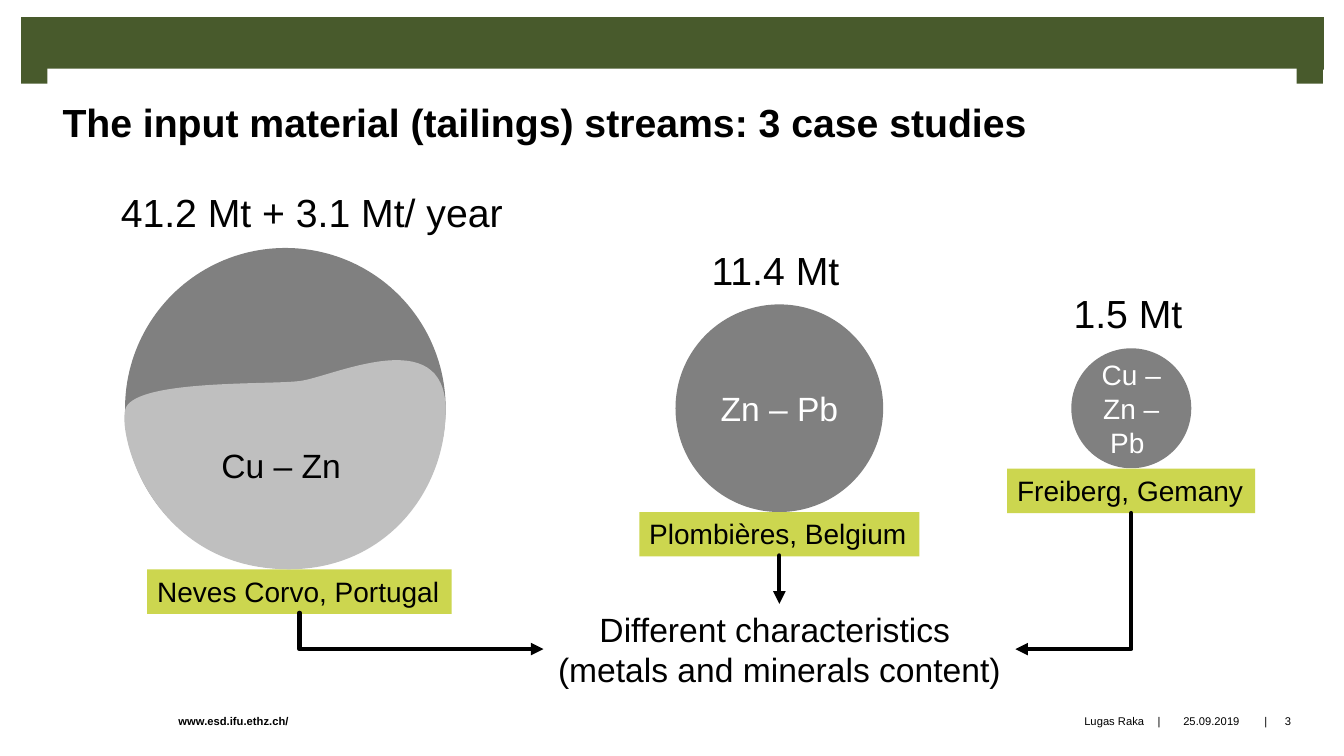
from dataclasses import dataclass

from lxml import etree
from pptx import Presentation
from pptx import util as u
from pptx.dml.color import RGBColor
from pptx.enum import shapes, text
from pptx.oxml.ns import qn

Inches = u.Inches
KIND = shapes.MSO_SHAPE
LINK = shapes.MSO_CONNECTOR
ALIGN = text.PP_ALIGN
ANCHOR = text.MSO_ANCHOR


@dataclass(frozen=True)
class Theme:
    """Colours, font and type sizes of the slide."""
    font: str = "Arial"
    ink: str = "000000"
    white: str = "FFFFFF"
    band: str = "485A2C"
    label: str = "CCD64F"
    dark: str = "808080"
    light: str = "BFBFBF"
    head: int = 28
    body: int = 24
    small: int = 20
    foot: int = 8


T = Theme()


def write(shape, words, size=T.body, color=T.ink, bold=False, align=ALIGN.LEFT,
          anchor=ANCHOR.TOP, wrap=True, pad=(0.1, 0.05, 0.1, 0.05)):
    """Put formatted text in a shape, one paragraph a line."""
    frame = shape.text_frame
    frame.text = words
    frame.word_wrap = wrap
    frame.auto_size = text.MSO_AUTO_SIZE.NONE
    frame.vertical_anchor = anchor
    (frame.margin_left, frame.margin_top,
     frame.margin_right, frame.margin_bottom) = map(Inches, pad)
    for para in frame.paragraphs:
        para.alignment = align
        font = para.font
        font.name, font.size, font.bold = T.font, u.Pt(size), bold
        font.color.rgb = RGBColor.from_string(color)


def paint(shape, color):
    """Give a shape a flat fill without line or shadow."""
    shape.shadow.inherit = False
    shape.fill.solid()
    shape.fill.fore_color.rgb = RGBColor.from_string(color)
    shape.line.fill.background()


def block(slide, kind, box, color):
    """Add a plain preset shape."""
    shape = slide.shapes.add_shape(kind, *map(Inches, box))
    paint(shape, color)
    return shape


def note(slide, words, box, **form):
    """Add a text box."""
    write(slide.shapes.add_textbox(*map(Inches, box)), words, **form)


def foot(slide, words, left, width, **form):
    """Add a footer item."""
    note(slide, words, (left, 6.9, width, 0.5), size=T.foot,
         anchor=ANCHOR.MIDDLE, pad=(0, 0, 0, 0), **form)


def disc(slide, mid, size, words="", points=T.body):
    """Add a tailings disc centred on the shared axis."""
    box = (mid - size / 2, 4.05 - size / 2, size, size)
    shape = block(slide, KIND.OVAL, box, T.dark)
    if words:
        write(shape, words, size=points, color=T.white,
              align=ALIGN.CENTER, anchor=ANCHOR.MIDDLE)


def site(slide, words, left, top, width):
    """Add a green site label."""
    shape = block(slide, KIND.RECTANGLE, (left, top, width, 0.44), T.label)
    write(shape, words, size=T.small, wrap=False)


def bend(shape, start, bends):
    """Replace the outline of a freeform by joined cubic curves."""
    line = shape._element.spPr.find(".//" + qn("a:path"))
    for part in list(line):
        line.remove(part)
    for tag, points in [("a:moveTo", [start])] + [("a:cubicBezTo", b) for b in bends]:
        step = etree.SubElement(line, qn(tag))
        for x, y in points:
            etree.SubElement(step, qn("a:pt"), x=str(Inches(x) - shape.left),
                             y=str(Inches(y) - shape.top))
    etree.SubElement(line, qn("a:close"))


def wave(slide):
    """Add the light part of the largest disc."""
    left, top, right, low = map(Inches, (1.24, 3.57, 4.43, 5.65))
    pen = slide.shapes.build_freeform(left, top)
    pen.add_line_segments([(right, top), (right, low), (left, low)])
    shape = pen.convert_to_shape()
    start = (1.24, 4.07)
    bend(shape, start, [((1.3, 3.76), (2.67, 3.82), (2.97, 3.78)),
                        ((3.27, 3.75), (4.42, 3.18), (4.42, 4.07)),
                        ((4.42, 4.95), (3.71, 5.78), (2.61, 5.63)),
                        ((1.51, 5.48), (1.18, 4.37), start)])
    paint(shape, T.light)
    write(shape, "Cu – Zn ", align=ALIGN.CENTER, anchor=ANCHOR.MIDDLE)


def arrow(slide, tip, tail):
    """Add an arrow to tip, bent once where the ends are not aligned."""
    bent = tip[0] != tail[0]
    kind = LINK.ELBOW if bent else LINK.STRAIGHT
    link = slide.shapes.add_connector(kind, *map(Inches, tip + tail))
    link.line.color.rgb = RGBColor.from_string(T.ink)
    link.line.width = u.Pt(3)
    props = link._element.spPr
    if bent:
        props.find(qn("a:prstGeom")).set("prst", "bentConnector2")
    line = props.find(qn("a:ln"))
    line.set("cap", "rnd")
    etree.SubElement(line, qn("a:round"))
    etree.SubElement(line, qn("a:headEnd"), type="triangle")
    etree.SubElement(props, qn("a:effectLst"))


def frame(slide):
    """Add the top band, the title and the footer."""
    for box in ((0.21, 0.17, 12.92, 0.52), (0.21, 0.65, 0.27, 0.18),
                (12.85, 0.65, 0.27, 0.18)):
        block(slide, KIND.RECTANGLE, box, T.band)
    title = slide.shapes.title
    title.left, title.top, title.width, title.height = map(
        Inches, (0.47, 0.68, 12.39, 1.06))
    title.fill.solid()
    title.fill.fore_color.rgb = RGBColor.from_string(T.white)
    slide.shapes._spTree.append(title._element)
    write(title, "The input material (tailings) streams: 3 case studies",
          size=T.head, bold=True, anchor=ANCHOR.MIDDLE, pad=(0.15, 0, 0.16, 0))
    foot(slide, "www.esd.ifu.ethz.ch/", 1.77, 4.89, bold=True)
    foot(slide, "Lugas Raka", 6.67, 4.68, align=ALIGN.RIGHT)
    for words, left, width in (("|", 11.42, 0.15), ("25.09.2019", 11.57, 0.89),
                               ("|", 12.48, 0.15), ("3", 12.58, 0.39)):
        foot(slide, words, left, width, align=ALIGN.CENTER)


def main():
    """Build and save the slide."""
    deck = Presentation()
    deck.slide_width, deck.slide_height = Inches(13.33), Inches(7.5)
    slide = deck.slides.add_slide(deck.slide_layouts[5])
    frame(slide)
    disc(slide, 2.83, 3.18)
    disc(slide, 7.73, 2.06, "Zn – Pb ")
    disc(slide, 11.22, 1.19, "Cu – Zn – Pb ", T.small)
    for words, left, top, width in (("41.2 Mt + 3.1 Mt/ year", 1.1, 1.82, 4),
                                    ("11.4 Mt", 6.96, 2.39, 1.53),
                                    ("1.5 Mt", 10.55, 2.82, 1.34)):
        note(slide, words, (left, top, width, 0.57), size=T.head)
    site(slide, "Neves Corvo, Portugal", 1.46, 5.65, 3.02)
    site(slide, "Plombières, Belgium", 6.34, 5.08, 2.78)
    site(slide, "Freiberg, Gemany", 9.99, 4.65, 2.46)
    wave(slide)
    note(slide, "Different characteristics \n(metals and minerals content)",
         (5.39, 5.99, 4.68, 0.91), align=ALIGN.CENTER)
    arrow(slide, (5.39, 6.44), (2.97, 6.08))
    arrow(slide, (10.07, 6.44), (11.22, 5.09))
    arrow(slide, (7.73, 5.99), (7.73, 5.51))
    deck.save("out.pptx")


if __name__ == "__main__":
    main()
